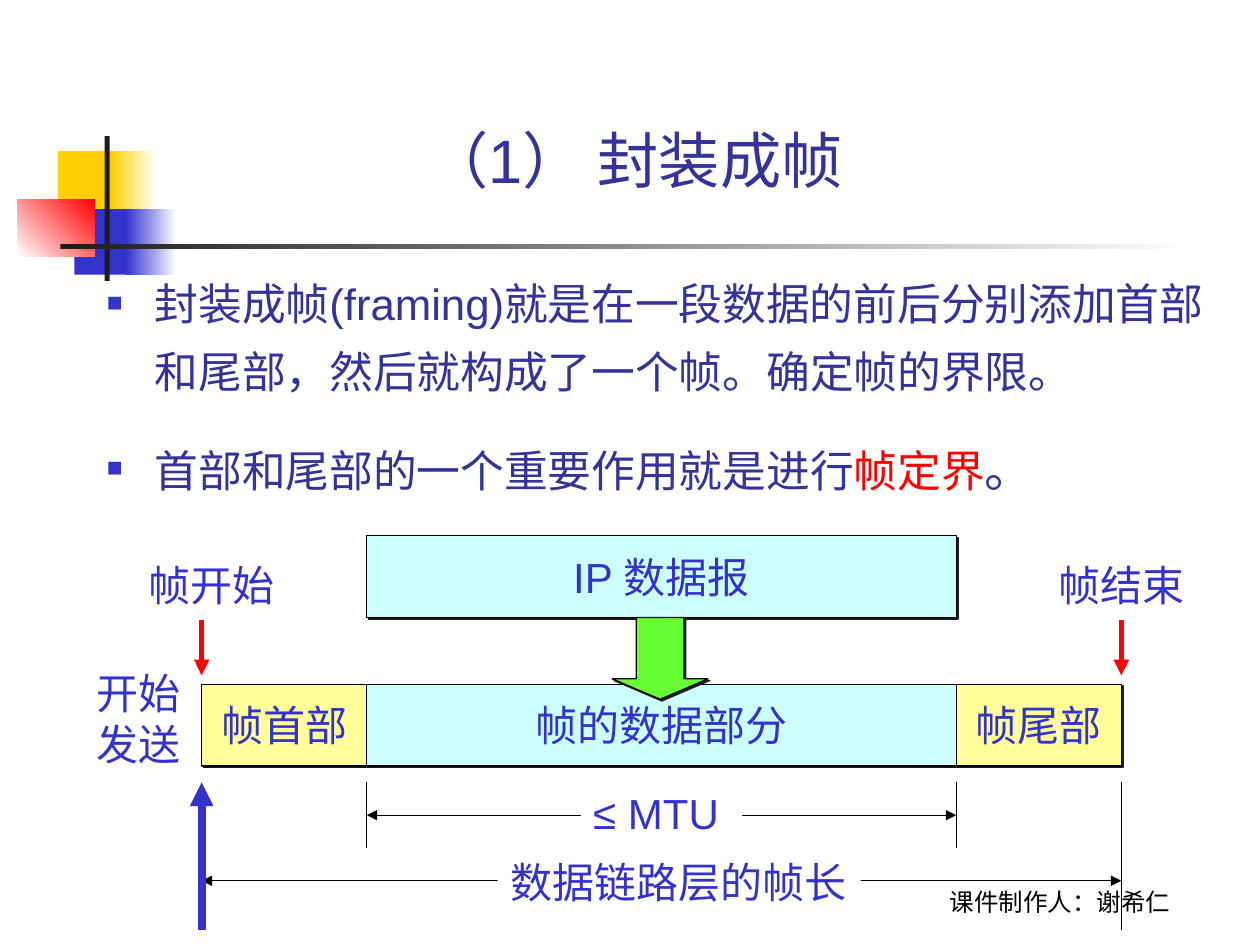
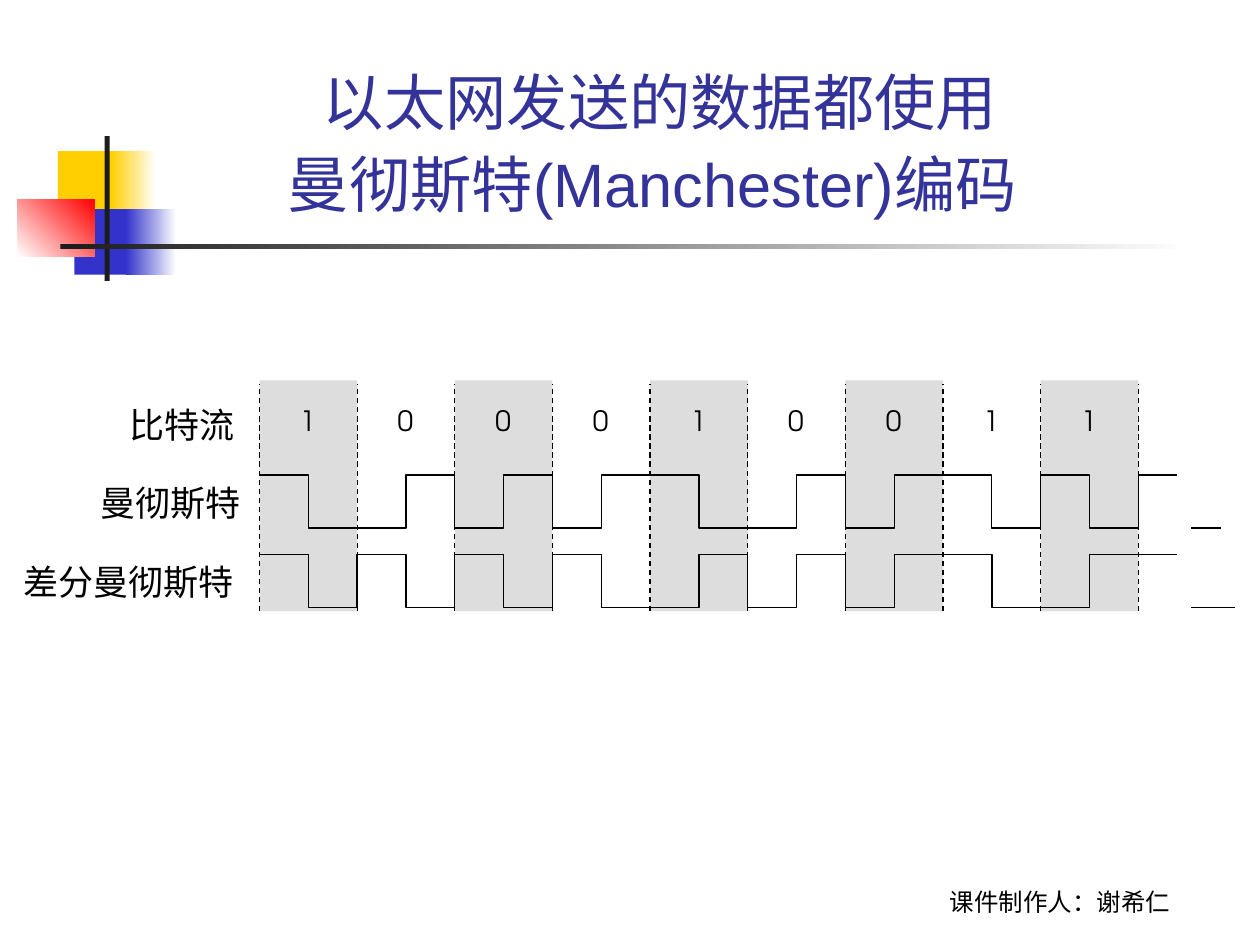
from itertools import pairwise

from lxml import etree
from pptx import Presentation
from pptx.dml.color import RGBColor
from pptx.enum import dml, shapes, text
from pptx.oxml import ns
from pptx.util import Inches, Pt

BLACK = RGBColor(0x00, 0x00, 0x00)
WHITE = RGBColor(0xFF, 0xFF, 0xFF)
INK = RGBColor(0x1C, 0x1C, 0x1C)
NAVY = RGBColor(0x33, 0x33, 0x99)
BLUE = RGBColor(0x33, 0x33, 0xCC)
RED = RGBColor(0xFF, 0x00, 0x00)
GOLD = RGBColor(0xFF, 0xCF, 0x01)
CREAM = RGBColor(0xFF, 0xFF, 0x99)
AQUA = RGBColor(0xCC, 0xFF, 0xFF)
GREEN = RGBColor(0x66, 0xFF, 0x33)
GREY = RGBColor(0xDD, 0xDD, 0xDD)

LEFT, MID = text.PP_ALIGN.LEFT, text.PP_ALIGN.CENTER
TOP, CENTRE, BASE = (text.MSO_ANCHOR.TOP, text.MSO_ANCHOR.MIDDLE,
                     text.MSO_ANCHOR.BOTTOM)
RECT, DOWN = shapes.MSO_SHAPE.RECTANGLE, shapes.MSO_SHAPE.DOWN_ARROW

# Frame diagram: edges of header, data and trailer
EDGES = (1.6, 2.91, 7.59, 8.9)
ROW, TALL = 5.43, 0.65

# Signal diagram: the last bit runs off the right edge
BITS = "100010011"
START, BIT = 2.06, 0.775
BAND, FLOOR = 3.02, 4.85


def child(parent, tag, **attrs):
    return etree.SubElement(parent, ns.qn(tag), attrs)


def style(font, size, color, name="Arial"):
    font.size, font.name = Pt(size), name
    font.color.rgb = color


def shape(slide, box, fill, kind=RECT, edge=None, shade=False):
    item = slide.shapes.add_shape(kind, *map(Inches, box))
    item.shadow.inherit = False
    item.fill.solid()
    item.fill.fore_color.rgb = fill
    if edge is None:
        item.line.fill.background()
    else:
        item.line.color.rgb, item.line.width = edge, Pt(0.75)
    if shade:
        effects = item.element.spPr.find(ns.qn("a:effectLst"))
        cast = child(effects, "a:outerShdw", dist=str(Pt(1.4)),
                     dir="2700000", algn="ctr", rotWithShape="0")
        child(cast, "a:srgbClr", val=str(INK))
    return item


def fade(slide, box, first, last, angle=0):
    item = shape(slide, box, first)
    item.fill.gradient()
    item.fill.gradient_angle = angle
    for stop, color in zip(item.fill.gradient_stops, (first, last)):
        stop.color.rgb = color


def write(item, words, size, color, name="Arial", align=LEFT, anchor=TOP,
          wrap=False):
    frame = item.text_frame
    frame.word_wrap, frame.vertical_anchor = wrap, anchor
    frame.text = words
    for para in frame.paragraphs:
        para.alignment = align
        style(para.font, size, color, name)
    return frame


def label(slide, box, words, size, color, name="Arial", fill=None, wrap=False,
          **layout):
    item = slide.shapes.add_textbox(*map(Inches, box))
    if fill is not None:
        item.fill.solid()
        item.fill.fore_color.rgb = fill
    frame = write(item, words, size, color, name, wrap=wrap, **layout)
    if not wrap:
        frame.auto_size = text.MSO_AUTO_SIZE.SHAPE_TO_FIT_TEXT
    return frame


def block(slide, box, words, fill):
    item = shape(slide, box, fill, edge=BLACK, shade=True)
    write(item, words, 24, BLUE, align=MID, anchor=CENTRE)


def line(slide, x1, y1, x2, y2, color=BLACK, width=0.75, heads=(), dash=False):
    item = slide.shapes.add_connector(
        shapes.MSO_CONNECTOR.STRAIGHT, *map(Inches, (x1, y1, x2, y2)))
    item.line.color.rgb, item.line.width = color, Pt(width)
    if dash:
        item.line.dash_style = dml.MSO_LINE.DASH
    props = item.element.spPr
    for end in heads:
        child(props.find(ns.qn("a:ln")), f"a:{end}End", type="triangle")
    child(props, "a:effectLst")


def bullet(para, indent=0.38):
    props = para._p.get_or_add_pPr()
    props.set("marL", str(Inches(indent)))
    props.set("indent", str(-Inches(indent)))
    child(child(props, "a:buClr"), "a:srgbClr", val=str(BLUE))
    child(props, "a:buSzPct", val="60000")
    child(props, "a:buFont", typeface="Arial")
    child(props, "a:buChar", char="■")


def base(deck, title, box):
    """Add a slide with the shared ornament, footer and title."""
    slide = deck.slides.add_slide(deck.slide_layouts[6])
    shape(slide, (0.46, 1.2, 0.48, 0.52), GOLD)
    fade(slide, (0.88, 1.2, 0.36, 0.52), GOLD, WHITE)
    shape(slide, (0.59, 1.66, 0.46, 0.52), BLUE)
    fade(slide, (1, 1.66, 0.4, 0.52), BLUE, WHITE)
    fade(slide, (0.14, 1.58, 0.61, 0.46), WHITE, RED, 45)
    shape(slide, (0.83, 1.08, 0.04, 1.15), INK)
    fade(slide, (0.48, 1.94, 9, 0.04), INK, WHITE)
    label(slide, (6.83, 6.82, 3.17, 0.5), "课件制作人：谢希仁", 14, BLACK,
          "Lato", align=MID, anchor=BASE, wrap=True)
    frame = label(slide, box, title, 35, NAVY, align=MID, anchor=BASE,
                  wrap=True)
    return slide, frame


def points(slide):
    frame = label(slide, (0.75, 2.02, 8.9, 4.26),
                  "封装成帧(framing)就是在一段数据的前后分别添加首部和尾部，"
                  "然后就构成了一个帧。确定帧的界限。\n", 25, NAVY, wrap=True)
    last = frame.paragraphs[1]
    for words, size, color in (("首部和尾部的一个重要作用就是进行", 25, NAVY),
                               ("帧定界", 25, RED), ("。", 28, NAVY)):
        run = last.add_run()
        run.text = words
        style(run.font, size, color)
    for para in frame.paragraphs:
        bullet(para)
        para.line_spacing = 1.3
    last.space_before = Pt(13.5)


def framing(deck):
    slide, _ = base(deck, "（1） 封装成帧", (1.3, 0, 7.48, 1.6))
    points(slide)

    # Datagram and the frame that carries it
    head, data, tail, end = EDGES
    block(slide, (data, 4.25, tail - data, TALL), "IP 数据报", AQUA)
    parts = (("帧首部", CREAM), ("帧的数据部分", AQUA), ("帧尾部", CREAM))
    for (words, fill), (x1, x2) in zip(parts, pairwise(EDGES)):
        block(slide, (x1, ROW, x2 - x1, TALL), words, fill)
    arrow = shape(slide, (4.86, 4.9, 0.76, TALL), GREEN, DOWN, BLACK, True)
    arrow.adjustments[0], arrow.adjustments[1] = 0.5, 0.25

    # Dimension lines
    both = ("head", "tail")
    line(slide, data, 6.47, tail, 6.47, heads=both)
    line(slide, head, 6.99, end, 6.99, heads=both)
    line(slide, head, 6.21, head, 7.38, BLUE, 4.5, heads=("head",))
    for x, low in ((data, 6.73), (tail, 6.73), (end, 7.38)):
        line(slide, x, 6.21, x, low)
    for x in (head, end):
        line(slide, x, 4.92, x, 5.36, RED, 3, heads=("tail",))

    # Labels
    for box, words in (((1.08, 4.39, 1.2, 0.5), "帧开始"),
                       ((8.3, 4.39, 1.2, 0.5), "帧结束"),
                       ((0.67, 5.25, 0.88, 0.9), "开始\n发送"),
                       ((4.61, 6.2, 1.28, 0.5), "≤ MTU"),
                       ((3.95, 6.75, 2.88, 0.5), "数据链路层的帧长")):
        label(slide, box, words, 24, BLUE, fill=WHITE)


def plain(bits):
    """Manchester levels, two per bit: 1 is high then low."""
    return [half for bit in bits
            for half in ((1, 0) if bit == "1" else (0, 1))]


def diff(bits):
    """Differential levels: a 0 flips at its start, every bit at its middle."""
    level, halves = 1, []
    for bit in bits:
        if bit == "0":
            level = 1 - level
        halves += [level, 1 - level]
        level = 1 - level
    return halves


def wave(slide, levels, top, stop):
    xs = [START + BIT / 2 * i for i in range(len(levels))] + [stop]
    spots = [(Inches(x), Inches(top if level else top + 0.42))
             for level, ends in zip(levels, pairwise(xs)) for x in ends]
    path = slide.shapes.build_freeform(*spots[0])
    path.add_line_segments(spots[1:], close=False)
    item = path.convert_to_shape()
    item.shadow.inherit = False
    item.fill.background()
    item.line.color.rgb, item.line.width = BLACK, Pt(0.75)


def coding(deck):
    slide, frame = base(
        deck, "以太网发送的数据都使用\v曼彻斯特(Manchester)编码",
        (0.98, 0.21, 8.52, 1.6))
    gap = frame.paragraphs[0].add_run()
    gap.text = " "
    gap.font.size = Pt(40)

    # Bit cells
    for i, bit in enumerate(BITS):
        x = START + BIT * i
        if i % 2 == 0:
            shape(slide, (x, BAND, BIT, FLOOR - BAND), GREY)
        label(slide, (x + BIT / 2 - 0.17, 3.15, 0.33, 0.36), bit, 16, BLACK,
              "TeX Gyre Adventor", align=MID)
    for i in range(len(BITS) + 1):
        x = START + BIT * i
        line(slide, x, FLOOR, x, 3.05, dash=True)

    # Signals
    sent = BITS + "1"
    wave(slide, plain(sent), 3.77, 9.69)
    wave(slide, diff(sent), 4.4, 9.8)
    for box, words in (((0.93, 3.15, 1.04, 0.43), "比特流"),
                       ((0.7, 3.77, 1.31, 0.43), "曼彻斯特"),
                       ((0.09, 4.4, 1.87, 0.43), "差分曼彻斯特")):
        label(slide, box, words, 20, BLACK, "Times New Roman")

    # Break in the signals
    shape(slide, (9.35, 1.94, 0.1, 2.92), WHITE, edge=WHITE)


def main():
    deck = Presentation()
    deck.slide_width, deck.slide_height = Inches(10), Inches(7.5)
    framing(deck)
    coding(deck)
    deck.save("out.pptx")


if __name__ == "__main__":
    main()
